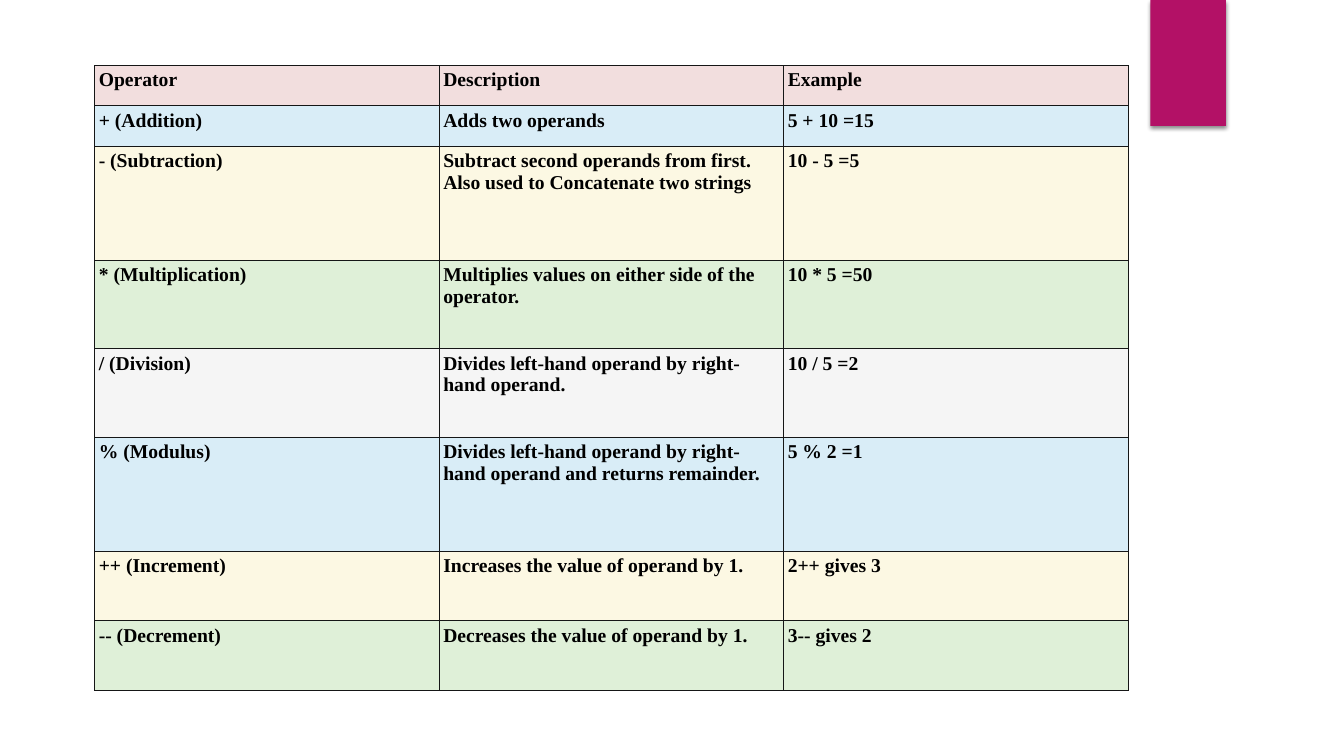
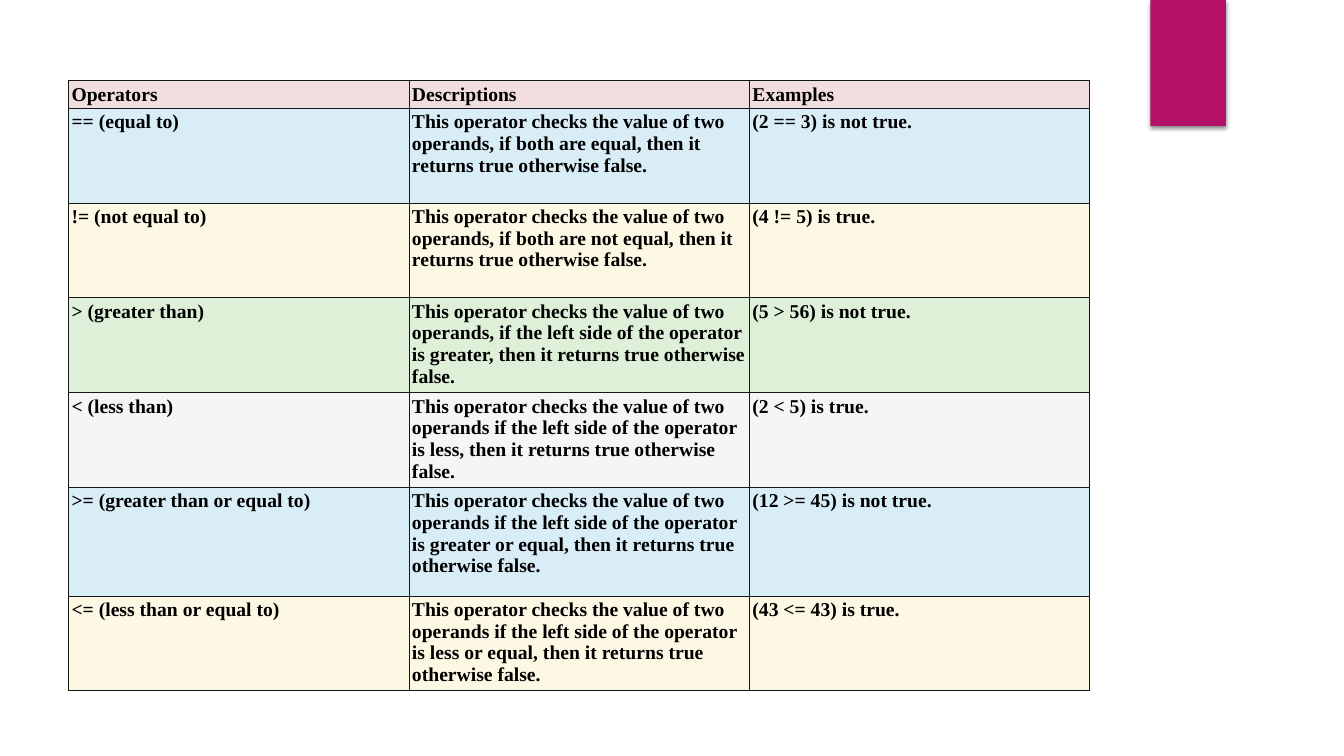
from pptx import Presentation, dml, util as u
from pptx.dml import color
from pptx.enum import shapes
from pptx.oxml import parse_xml
from pptx.oxml.ns import nsdecls, qn

FONT = "Times New Roman"
SIZE = 14
INK = "000000"
ACCENT = "B31166"
BORDER = "151616"
HEAD = "F2DEDE"
TINTS = ["D9EDF7", "FCF8E3", "DFF0D8", "F5F5F5"]

MATH = [
    ("Operator", "Description", "Example"),
    ("+ (Addition)", "Adds two operands", "5 + 10 =15"),
    ("- (Subtraction)",
     "Subtract second operands from first. Also used to Concatenate two strings",
     "10 - 5 =5"),
    ("* (Multiplication)", "Multiplies values on either side of the operator.",
     "10 * 5 =50"),
    ("/ (Division)", "Divides left-hand operand by right-hand operand.",
     "10 / 5 =2"),
    ("% (Modulus)",
     "Divides left-hand operand by right-hand operand and returns remainder.",
     "5 % 2 =1"),
    ("++ (Increment)", "Increases the value of operand by 1.", "2++ gives 3"),
    ("-- (Decrement)", "Decreases the value of operand by 1.", "3-- gives 2"),
]

CHECKS = [
    ("== (equal to)", ", if both are equal", "(2 == 3) is not true."),
    ("!= (not equal to)", ", if both are not equal", "(4 != 5) is true."),
    ("> (greater than)", ", if the left side of the operator is greater",
     "(5 > 56) is not true."),
    ("< (less than)", " if the left side of the operator is less",
     "(2 < 5) is true."),
    (">= (greater than or equal to)",
     " if the left side of the operator is greater or equal",
     "(12 >= 45) is not true."),
    ("<= (less than or equal to)",
     " if the left side of the operator is less or equal",
     "(43 <= 43) is true."),
]
COMPARE = [("Operators", "Descriptions", "Examples")] + [
    (name, f"This operator checks the value of two operands{test}, "
           "then it returns true otherwise false.", case)
    for name, test, case in CHECKS
]


def paint(fill, tone):
    fill.solid()
    fill.fore_color.rgb = color.RGBColor.from_string(tone)


def add_band(slide):
    """Add the accent block that hangs from the top edge."""
    band = slide.shapes.add_shape(
        shapes.MSO_SHAPE.RECTANGLE,
        u.Inches(11.41), 0, u.Inches(0.75), u.Inches(1.25))
    paint(band.fill, ACCENT)
    band.line.fill.background()
    band.shadow.inherit = False
    band._element.spPr.find(qn("a:effectLst")).append(parse_xml(
        f'<a:outerShdw {nsdecls("a")} blurRad="{u.Pt(3)}" dist="{u.Pt(2)}" '
        'dir="5400000" algn="ctr" rotWithShape="0"><a:srgbClr val="000000">'
        '<a:alpha val="45000"/></a:srgbClr></a:outerShdw>'))


def add_edges(cell):
    props = cell._tc.get_or_add_tcPr()
    for side in "LRTB":
        props.append(parse_xml(
            f'<a:ln{side} {nsdecls("a")} w="{u.Pt(0.75)}"><a:solidFill>'
            f'<a:srgbClr val="{BORDER}"/></a:solidFill></a:ln{side}>'))


def fill_cell(cell, words, tone, inset):
    add_edges(cell)
    paint(cell.fill, tone)
    cell.margin_left = cell.margin_right = u.Inches(inset)
    cell.margin_top = cell.margin_bottom = u.Inches(inset)
    cell.text = words
    font = cell.text_frame.paragraphs[0].font
    font.name, font.size, font.bold = FONT, u.Pt(SIZE), True
    paint(font.fill, INK)


def add_grid(slide, rows, left, top, width, heights, inset):
    """Add a table with a pink header and body rows in cycling tints."""
    count = len(rows[0])
    grid = slide.shapes.add_table(
        len(rows), count, u.Inches(left), u.Inches(top),
        u.Inches(width), u.Inches(sum(heights))).table
    grid.first_row = grid.horz_banding = False
    for col in grid.columns:
        col.width = u.Inches(width / count)
    for r, (row, height) in enumerate(zip(rows, heights)):
        grid.rows[r].height = u.Inches(height)
        tone = TINTS[(r - 1) % len(TINTS)] if r else HEAD
        for c, words in enumerate(row):
            fill_cell(grid.cell(r, c), words, tone, inset)


def main():
    deck = Presentation()
    deck.slide_width, deck.slide_height = u.Inches(13.33), u.Inches(7.5)
    tables = [
        (MATH, 0.94, 0.65, 10.25,
         [0.4, 0.4, 1.13, 0.88, 0.88, 1.13, 0.69, 0.69], 0.04),
        (COMPARE, 0.68, 0.8, 10.13,
         [0.22, 0.94, 0.94, 0.94, 0.94, 1.08, 0.94], 0.03),
    ]
    for table in tables:
        slide = deck.slides.add_slide(deck.slide_layouts[6])
        add_band(slide)
        add_grid(slide, *table)
    deck.save("out.pptx")


if __name__ == "__main__":
    main()
